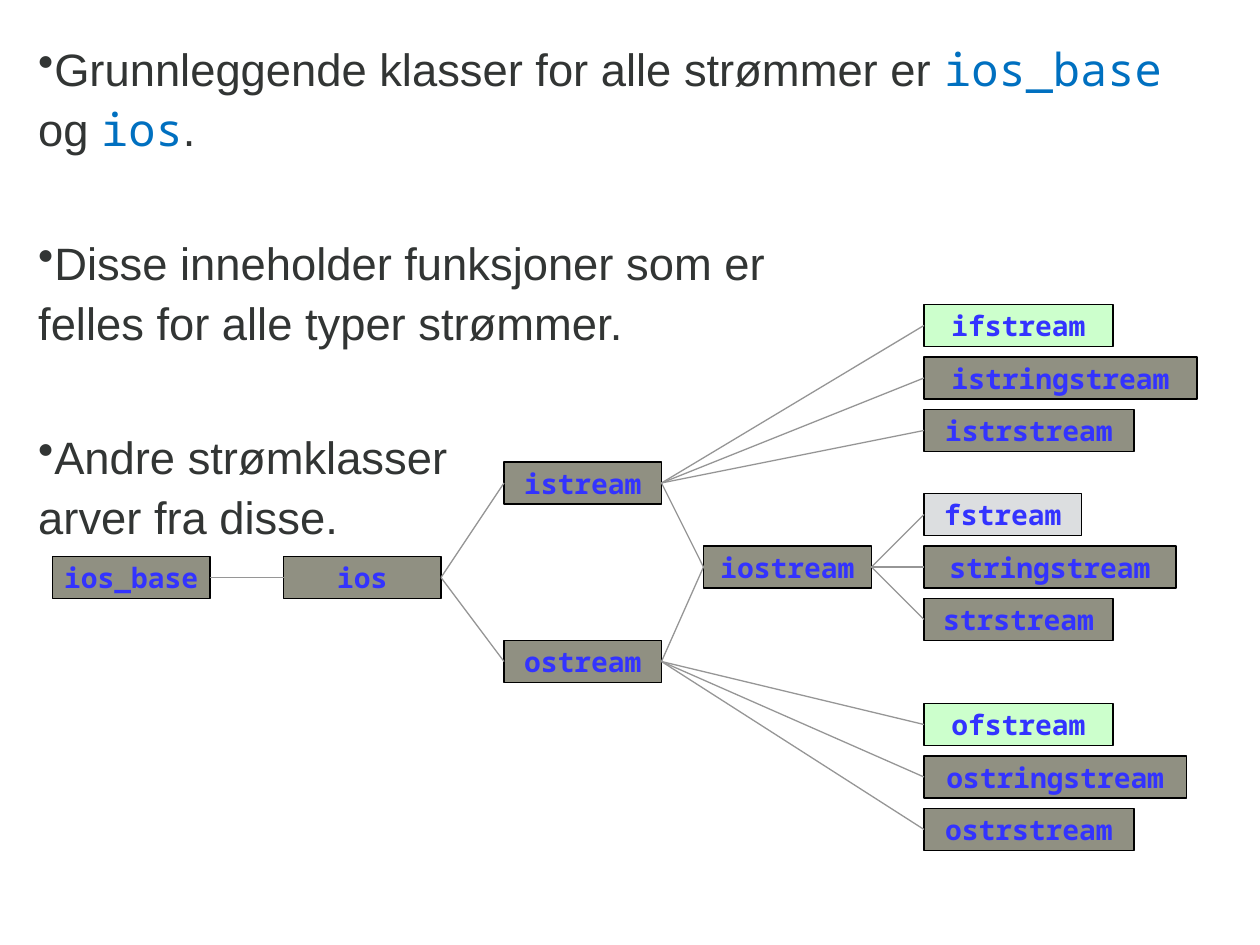
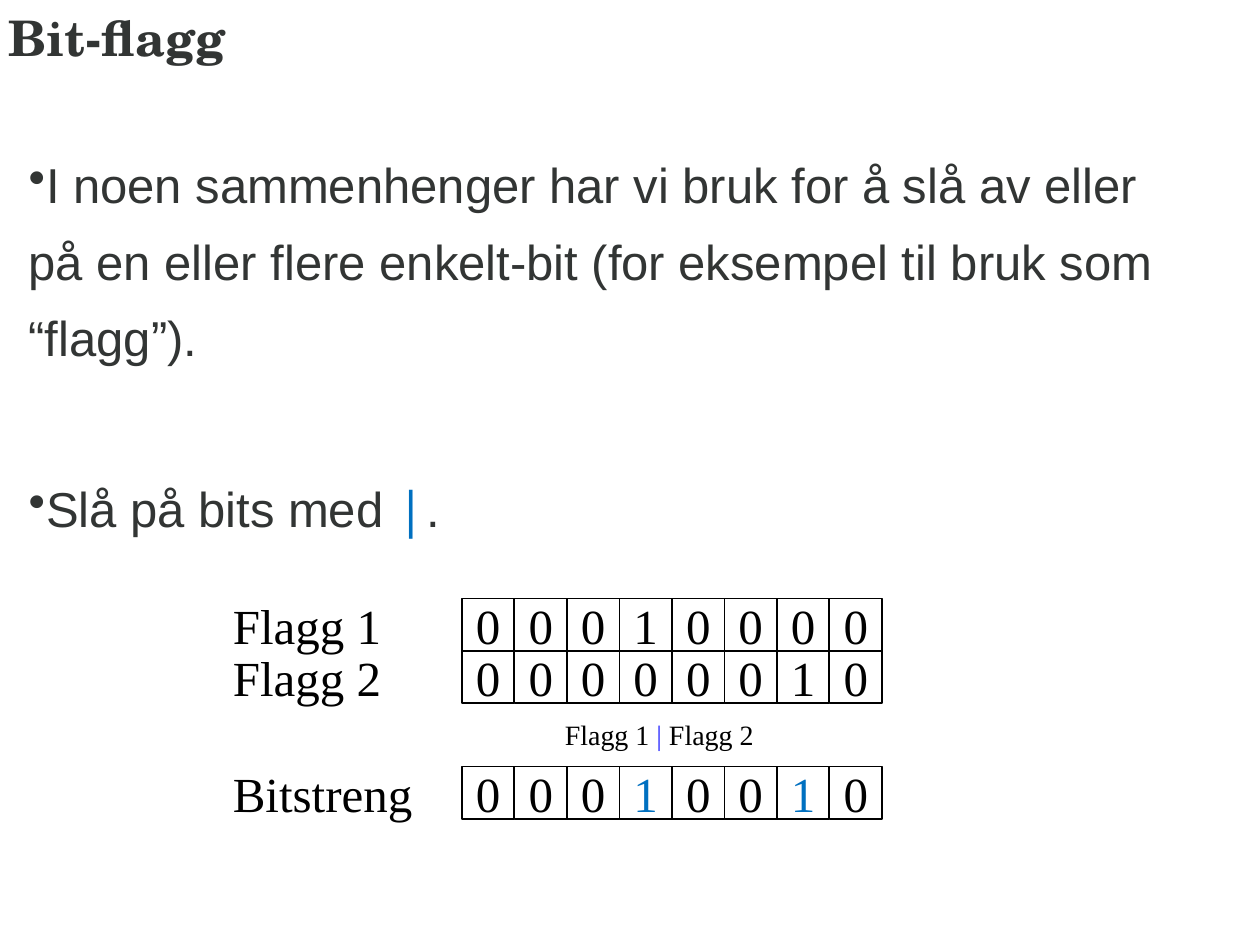
from lxml import etree
from pptx import Presentation
from pptx.dml.color import RGBColor
from pptx.enum.shapes import MSO_CONNECTOR as Connector, MSO_SHAPE as Shape
from pptx.enum.text import MSO_ANCHOR as Anchor, PP_ALIGN as Align
from pptx.oxml.ns import qn
from pptx.util import Inches, Pt

COLUMNS, ROWS = 120, 90
UNIT = Inches(10) / COLUMNS
LEFT_SITE, RIGHT_SITE = 1, 3
BOX_ROWS, BIT_SIDE = 4, 5

BLACK, INK, CODE_BLUE, CLASS_BLUE = "000000", "323534", "0070C0", "3333FF"
CLASS_GREY, FILE_GREEN, PALE_GREY, LINK_GREY = "909082", "CCFFCC", "DCDEE0", "969696"

PROSE = {"name": "Arial", "color": INK}
CODE = {"name": "Noto Sans Mono", "color": CODE_BLUE}
TITLE = {"name": "TeX Gyre Schola", "color": INK, "size": Pt(28), "bold": True}
CLASS_NAME = {"name": "Noto Sans Mono", "color": CLASS_BLUE, "size": Pt(16), "bold": True}
BIT = {"name": "Times New Roman", "color": BLACK, "size": Pt(28)}
EXPRESSION = {**BIT, "size": Pt(16)}

STREAM_POINTS = [
    [("Grunnleggende klasser for alle strømmer er ", PROSE), ("ios_base ", CODE),
     ("og ", PROSE), ("ios", CODE), (".", PROSE)],
    [("Disse inneholder funksjoner som er \nfelles for alle typer strømmer.", PROSE)],
    [("Andre strømklasser \narver fra disse.", PROSE)],
]
FLAG_POINTS = [
    [("I noen sammenhenger har vi bruk for å slå av eller på en eller flere "
      "enkelt-bit (for eksempel til bruk som “flagg”).", PROSE)],
    [("Slå på bits med ", PROSE), ("|", CODE), (".", PROSE)],
]

# class: (column, row, width in columns, fill)
CLASSES = {
    "ios_base": (5, 53, 15, CLASS_GREY),
    "ios": (27, 53, 15, CLASS_GREY),
    "istream": (48, 44, 15, CLASS_GREY),
    "ostream": (48, 61, 15, CLASS_GREY),
    "iostream": (67, 52, 16, CLASS_GREY),
    "ifstream": (88, 29, 18, FILE_GREEN),
    "istringstream": (88, 34, 26, CLASS_GREY),
    "istrstream": (88, 39, 20, CLASS_GREY),
    "fstream": (88, 47, 15, PALE_GREY),
    "stringstream": (88, 52, 24, CLASS_GREY),
    "strstream": (88, 57, 18, CLASS_GREY),
    "ofstream": (88, 67, 18, FILE_GREEN),
    "ostringstream": (88, 72, 25, CLASS_GREY),
    "ostrstream": (88, 77, 20, CLASS_GREY),
}
SUBCLASSES = {
    "ios_base": ["ios"],
    "ios": ["istream", "ostream"],
    "istream": ["iostream", "ifstream", "istringstream", "istrstream"],
    "ostream": ["iostream", "ofstream", "ostringstream", "ostrstream"],
    "iostream": ["fstream", "stringstream", "strstream"],
}
BIT_ROWS = [
    ("Flagg 1", 57, "00010000", BLACK),
    ("Flagg 2", 62, "00000010", BLACK),
    ("Bitstreng", 73, "00010010", CODE_BLUE),
]


def rgb(code):
    """Turn a hex string into a colour."""
    return RGBColor.from_string(code)


def on_grid(*cells):
    """Turn grid cells into slide lengths."""
    return [round(cell * UNIT) for cell in cells]


def write(paragraph, runs, **shared):
    """Add styled runs to a paragraph, breaking lines at newlines."""
    for text, style in runs:
        for number, line in enumerate(text.split("\n")):
            if number:
                paragraph.add_line_break()
            run = paragraph.add_run()
            run.text = line
            for key, value in {**style, **shared}.items():
                if key == "color":
                    run.font.color.rgb = rgb(value)
                else:
                    setattr(run.font, key, value)


def set_frame(frame, anchor, wrap=True, left=0, top=0):
    """Set the insets, anchor and wrapping of a text frame."""
    settings = {"margin_left": Inches(left), "margin_top": Inches(top), "margin_right": 0,
                "margin_bottom": 0, "vertical_anchor": anchor, "word_wrap": wrap}
    for key, value in settings.items():
        setattr(frame, key, value)


def add_text(slide, area, runs, anchor=Anchor.MIDDLE, left=0.1, top=0):
    """Add one paragraph of left-aligned text."""
    frame = slide.shapes.add_textbox(*area).text_frame
    set_frame(frame, anchor, left=left, top=top)
    write(frame.paragraphs[0], runs)


def add_points(slide, area, points, size, pitch, gap, top):
    """Add bulleted points with a fixed line pitch and gap."""
    frame = slide.shapes.add_textbox(*area).text_frame
    set_frame(frame, Anchor.TOP, top=top)
    for number, runs in enumerate(points):
        paragraph = frame.add_paragraph() if number else frame.paragraphs[0]
        paragraph.line_spacing = Pt(pitch)
        paragraph.space_before = Pt(gap if number else 0)
        properties = paragraph._p.get_or_add_pPr()
        properties.set("marL", str(Inches(0.02)))
        properties.set("indent", "0")
        etree.SubElement(properties, qn("a:buChar")).set("char", "•")
        write(paragraph, runs, size=Pt(size))


def add_box(slide, area, text, style, line_width, fill=None):
    """Add an outlined rectangle with centred text."""
    box = slide.shapes.add_shape(Shape.RECTANGLE, *area)
    box.shadow.inherit = False
    if fill:
        box.fill.solid()
        box.fill.fore_color.rgb = rgb(fill)
    else:
        box.fill.background()
    box.line.color.rgb = rgb(BLACK)
    box.line.width = Pt(line_width)
    set_frame(box.text_frame, Anchor.MIDDLE, wrap=False)
    paragraph = box.text_frame.paragraphs[0]
    paragraph.alignment = Align.CENTER
    write(paragraph, [(text, style)])
    return box


def add_link(slide, parent, child):
    """Join a class to its subclass."""
    link = slide.shapes.add_connector(Connector.STRAIGHT, 0, 0, 0, 0)
    link.begin_connect(parent, RIGHT_SITE)
    link.end_connect(child, LEFT_SITE)
    link.line.color.rgb = rgb(LINK_GREY)
    link.line.width = Pt(0.75)
    etree.SubElement(link._element.spPr, qn("a:effectLst"))


def add_class_tree(slide):
    """Draw the stream classes and their inheritance."""
    boxes = {
        name: add_box(slide, on_grid(column, row, width, BOX_ROWS), name, CLASS_NAME, 0.75, fill)
        for name, (column, row, width, fill) in CLASSES.items()
    }
    for parent, children in SUBCLASSES.items():
        for child in children:
            add_link(slide, boxes[parent], boxes[child])


def add_bit_row(slide, label, row, bits, set_color):
    """Draw a label and its row of bits."""
    add_text(slide, on_grid(21, row, 20, BIT_SIDE), [(label, BIT)])
    for place, bit in enumerate(bits):
        area = on_grid(44 + place * BIT_SIDE, row, BIT_SIDE, BIT_SIDE)
        color = set_color if bit == "1" else BLACK
        add_box(slide, area, bit, {**BIT, "color": color}, 1)


def main():
    """Build both slides and save them."""
    deck = Presentation()
    deck.slide_width, deck.slide_height = on_grid(COLUMNS, ROWS)
    blank = deck.slide_layouts[6]

    streams = deck.slides.add_slide(blank)
    add_points(streams, on_grid(3.4, 2.5, 114.2, 50), STREAM_POINTS,
               size=25.9, pitch=34.3, gap=42.3, top=0.07)
    add_class_tree(streams)

    flags = deck.slides.add_slide(blank)
    add_text(flags, on_grid(0.1, 0.4, 117.8, 13.4), [("Bit-flagg", TITLE)],
             Anchor.TOP, left=0.06, top=0.03)
    add_points(flags, on_grid(2.5, 11, 108, 73.8), FLAG_POINTS,
               size=28, pitch=43.7, gap=54, top=0.17)
    for bit_row in BIT_ROWS:
        add_bit_row(flags, *bit_row)
    add_text(flags, on_grid(52, 65, 25, 8),
             [("Flagg 1 ", EXPRESSION), ("|", {**EXPRESSION, "color": CLASS_BLUE}),
              (" Flagg 2", EXPRESSION)], left=0.15, top=0.15)
    deck.save("out.pptx")


if __name__ == "__main__":
    main()
